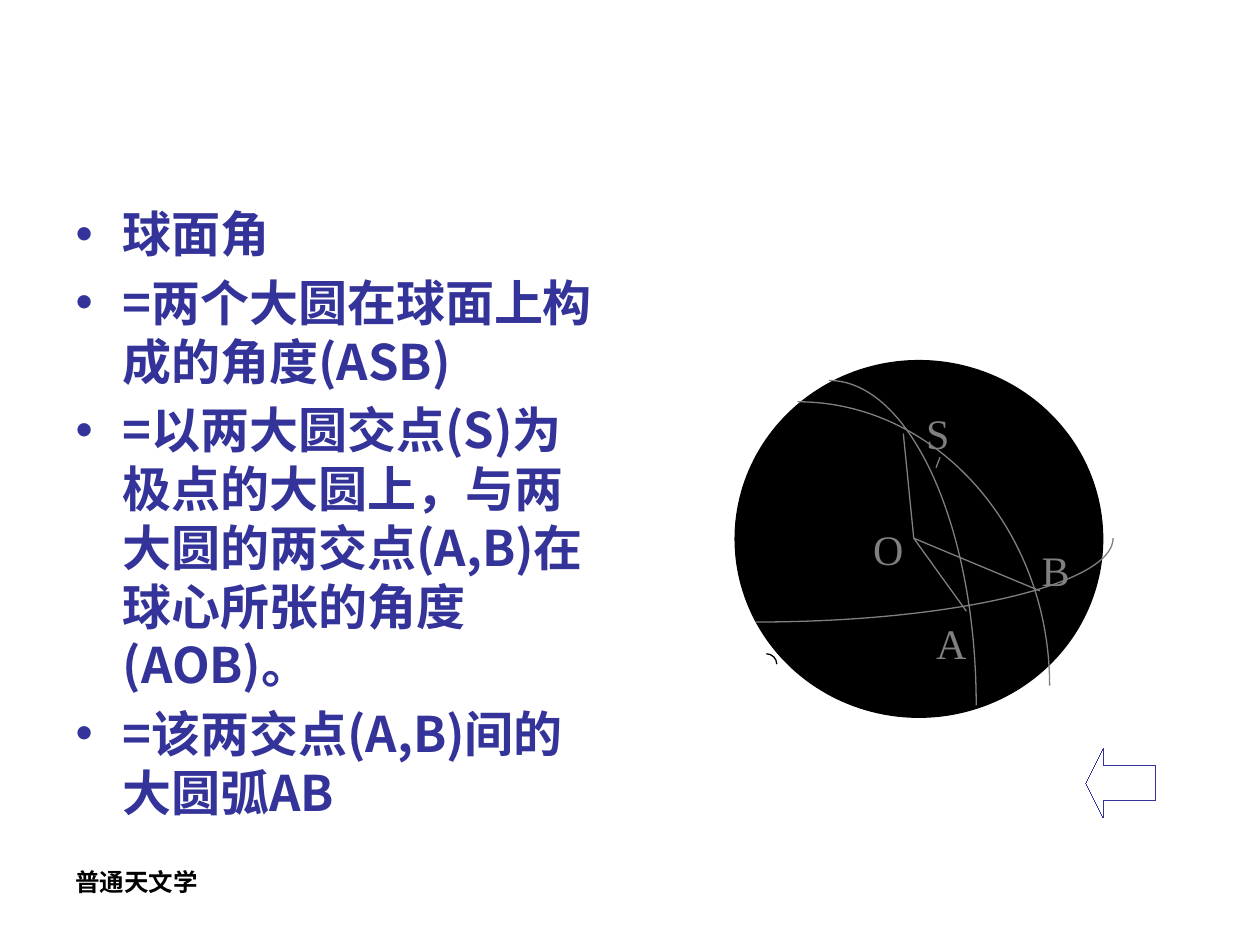
from lxml import etree
from pptx import Presentation
from pptx.dml.color import RGBColor
from pptx.enum.shapes import MSO_CONNECTOR, MSO_SHAPE
from pptx.enum.text import MSO_ANCHOR, MSO_AUTO_SIZE
from pptx.oxml.ns import qn
from pptx.util import Cm, Emu, Pt

STRAIGHT = MSO_CONNECTOR.STRAIGHT
ELLIPSE, LEFT_ARROW = MSO_SHAPE.OVAL, MSO_SHAPE.LEFT_ARROW
TOP = MSO_ANCHOR.TOP
NO_AUTOFIT, GROW = MSO_AUTO_SIZE.NONE, MSO_AUTO_SIZE.SHAPE_TO_FIT_TEXT
CJK_FONT = "Noto Sans CJK SC"
INDENT = Cm(0.95)
GREY, NAVY, BLACK, PALE = "808080", "333399", "000000", "BBE0E3"


def write(paragraph, text, rgb, formats):
    run = paragraph.add_run()
    run.text = text
    for attribute, value in formats.items():
        setattr(run.font, attribute, value)
    run.font.color.rgb = RGBColor.from_string(rgb)
    east_asian = etree.SubElement(run.font._element, qn("a:ea"))
    east_asian.set("typeface", CJK_FONT)


def paint(figure, line_rgb, fill_rgb=None, width=Pt(0.75)):
    figure.shadow.inherit = False
    if fill_rgb:
        figure.fill.solid()
        figure.fill.fore_color.rgb = RGBColor.from_string(fill_rgb)
    else:
        figure.fill.background()
    figure.line.color.rgb = RGBColor.from_string(line_rgb)
    figure.line.width = width


prs = Presentation()
prs.slide_width, prs.slide_height = Cm(25.4), Cm(19.05)
slide = prs.slides.add_slide(prs.slide_layouts[1])
shapes = slide.shapes
empty_title = shapes.title._element
empty_title.getparent().remove(empty_title)

course = shapes.add_textbox(Cm(1.27), Cm(17.35), Cm(5.92), Cm(1.32)).text_frame
course.word_wrap = True
write(course.paragraphs[0], "普通天文学", BLACK,
      {"name": "Arial", "size": Pt(14), "bold": True})

definitions = [
    "球面角",
    "=两个大圆在球面上构成的角度(ASB)",
    "=以两大圆交点(S)为极点的大圆上，与两大圆的两交点(A,B)在球心所张的角度(AOB)。",
    "=该两交点(A,B)间的大圆弧AB",
]
body = slide.placeholders[1]
body.left, body.top, body.width, body.height = Cm(1.27), Cm(3.99), Cm(11.2), Cm(10.69)
body_format = {"word_wrap": True, "auto_size": NO_AUTOFIT,
               "vertical_anchor": TOP, "margin_top": Cm(0.12)}
for attribute, value in body_format.items():
    setattr(body.text_frame, attribute, value)
for number, definition in enumerate(definitions):
    item = body.text_frame.paragraphs[0] if number == 0 else body.text_frame.add_paragraph()
    item.line_spacing = Pt(33.6)
    item.space_before = Pt(5.6 if number else 0)
    properties = item._p.get_or_add_pPr()
    properties.set("marL", str(INDENT))
    properties.set("indent", str(-INDENT))
    etree.SubElement(properties, qn("a:buChar")).set("char", "•")
    write(item, definition, NAVY, {"name": CJK_FONT, "size": Pt(28), "bold": True})

sphere = shapes.add_shape(ELLIPSE, Cm(14.82), Cm(7.27), Cm(7.41), Cm(7.19))
paint(sphere, BLACK, BLACK)

BEND = 0.55
arcs = [
    (16.71, 7.67, 2.97, 6.55, GREY),
    (16.08, 8.1, 5.08, 5.72, GREY),
    (15.45, 13.18, 0.21, 0.21, BLACK),
    (15.24, 12.54, 7.2, -1.69, GREY),
]
for start_x, start_y, across, down, rgb in arcs:
    builder = shapes.build_freeform(Cm(start_x), Cm(start_y))
    builder.add_line_segments([(Cm(start_x + across), Cm(start_y + down))], close=False)
    arc = builder.convert_to_shape()
    paint(arc, rgb)
    straight = arc._element.find(".//" + qn("a:lnTo"))
    curve = etree.Element(qn("a:cubicBezTo"))
    base = max(-down, 0)
    for x, y in [(across * BEND, base), (across, base + down * (1 - BEND)),
                 (across, base + down)]:
        control = etree.SubElement(curve, qn("a:pt"))
        control.set("x", str(Cm(x)))
        control.set("y", str(Cm(y)))
    straight.getparent().replace(straight, curve)

label_font = {"name": "Times New Roman", "size": Pt(24)}
point_labels = [
    ("A", 18.62, 12.32, 1.07),
    ("B", 20.75, 10.85, 1.48),
    ("O", 17.35, 10.42, 1.07),
    ("S", 18.42, 8.1, 1.07),
]
for letter, left, top, width in point_labels:
    label = shapes.add_textbox(Cm(left), Cm(top), Cm(width), Cm(1.27)).text_frame
    label.word_wrap = True
    label.auto_size = GROW
    write(label.paragraphs[0], letter, GREY, label_font)

center = (18.42, 10.85)
for radius_end in [(19.48, 12.32), (20.96, 11.91), (18.21, 8.74)]:
    radius = shapes.add_connector(STRAIGHT, *map(Cm, center + radius_end))
    radius.line.color.rgb = RGBColor.from_string(GREY)
    radius.line.width = Pt(0.75)
    etree.SubElement(radius._element.spPr, qn("a:effectLst"))

mark_builder = shapes.build_freeform(Cm(18.95), Cm(9.22))
mark_builder.add_line_segments([(Cm(18.87), Cm(9.43))], close=True)
paint(mark_builder.convert_to_shape(), GREY, PALE)

back_arrow = shapes.add_shape(LEFT_ARROW, Cm(21.89), Cm(15.09), Cm(1.4), Cm(1.4))
back_arrow.adjustments[1] = 0.25
paint(back_arrow, NAVY, width=Emu(1))

prs.save("out.pptx")
